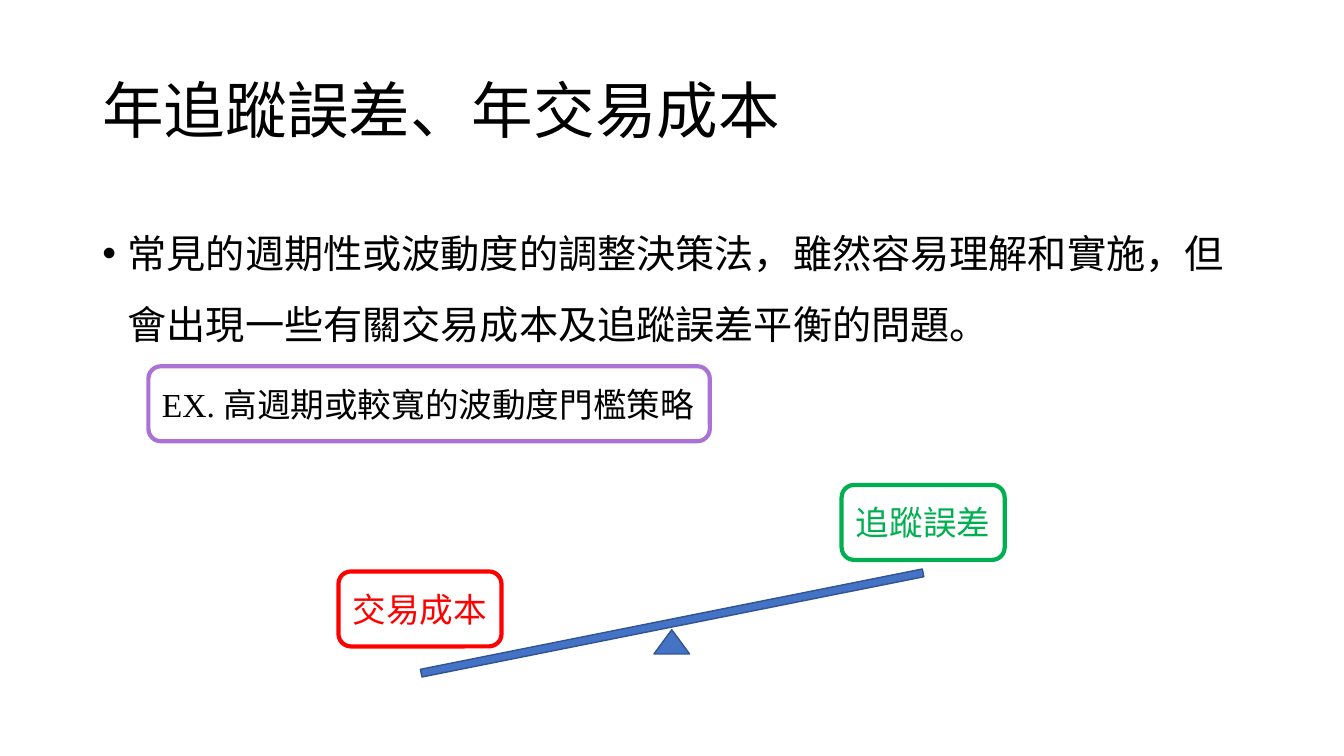
"""Build the slide on yearly tracking error and trading cost."""
from lxml import etree
from pptx import Presentation
from pptx.dml.color import RGBColor
from pptx.enum import shapes, text
from pptx.oxml import ns
from pptx.util import Cm, Pt

COLOURS = {
    "black": "000000", "white": "FFFFFF", "blue": "4472C4", "navy": "325491",
    "red": "FF0000", "green": "00B050", "purple": "AA72D4",
}
SERIF, SANS = "Times New Roman", "Calibri"
KIND = shapes.MSO_SHAPE


def colour(name):
    return RGBColor.from_string(COLOURS[name])


def write(frame, words, size, font=SERIF, ink="black", align=text.PP_ALIGN.LEFT,
          anchor=text.MSO_ANCHOR.MIDDLE, spacing=None, bullet=None):
    frame.word_wrap = True
    frame.vertical_anchor = anchor
    paragraph = frame.paragraphs[0]
    if bullet:
        properties = paragraph._p.get_or_add_pPr()
        properties.set("marL", str(Cm(0.64)))
        properties.set("indent", str(-Cm(0.64)))
        etree.SubElement(properties, ns.qn("a:buFont")).set("typeface", "Arial")
        etree.SubElement(properties, ns.qn("a:buChar")).set("char", bullet)
    paragraph.alignment = align
    if spacing:
        paragraph.line_spacing = spacing
    run = paragraph.add_run()
    run.text = words
    run.font.size = Pt(size)
    run.font.name = font
    run.font.color.rgb = colour(ink)


def add_text(slide, left, top, width, height, words, **style):
    box = slide.shapes.add_textbox(Cm(left), Cm(top), Cm(width), Cm(height))
    write(box.text_frame, words, **style)


def add_figure(slide, kind, left, top, width, height, fill="blue", line="navy", weight=1):
    figure = slide.shapes.add_shape(kind, Cm(left), Cm(top), Cm(width), Cm(height))
    figure.shadow.inherit = False
    figure.fill.solid()
    figure.fill.fore_color.rgb = colour(fill)
    figure.line.color.rgb = colour(line)
    figure.line.width = Pt(weight)
    return figure


def add_label(slide, left, top, width, line, words, **style):
    label = add_figure(slide, KIND.ROUNDED_RECTANGLE, left, top, width, 1.89,
                       fill="white", line=line, weight=3)
    write(label.text_frame, words, size=24, **style)


def add_seesaw(slide):
    add_figure(slide, KIND.ISOSCELES_TRIANGLE, 16.48, 15.87, 0.9, 0.61)
    beam = add_figure(slide, KIND.RECTANGLE, 10.49, 15.6, 12.9, 0.2)
    beam.rotation = -11.3
    for left, top, ink, words in ((8.53, 14.4, "red", "交易成本"),
                                  (21.21, 12.22, "green", "追蹤誤差")):
        add_label(slide, left, top, 4.11, ink, words, font=SANS, ink=ink,
                  align=text.PP_ALIGN.CENTER)


def main():
    deck = Presentation()
    deck.slide_width, deck.slide_height = Cm(33.87), Cm(19.05)
    slide = deck.slides.add_slide(deck.slide_layouts[6])
    add_text(slide, 2.33, 1.01, 29.21, 3.68, "年追蹤誤差、年交易成本",
             size=44, spacing=0.9)
    add_text(slide, 2.33, 5.07, 29.21, 12.09,
             "常見的週期性或波動度的調整決策法，雖然容易理解和實施，"
             "但會出現一些有關交易成本及追蹤誤差平衡的問題。",
             size=28, anchor=text.MSO_ANCHOR.TOP, spacing=1.5, bullet="•")
    add_seesaw(slide)
    add_label(slide, 3.74, 9.23, 14.15, "purple", "EX. 高週期或較寬的波動度門檻策略")
    deck.save("out.pptx")


if __name__ == "__main__":
    main()
